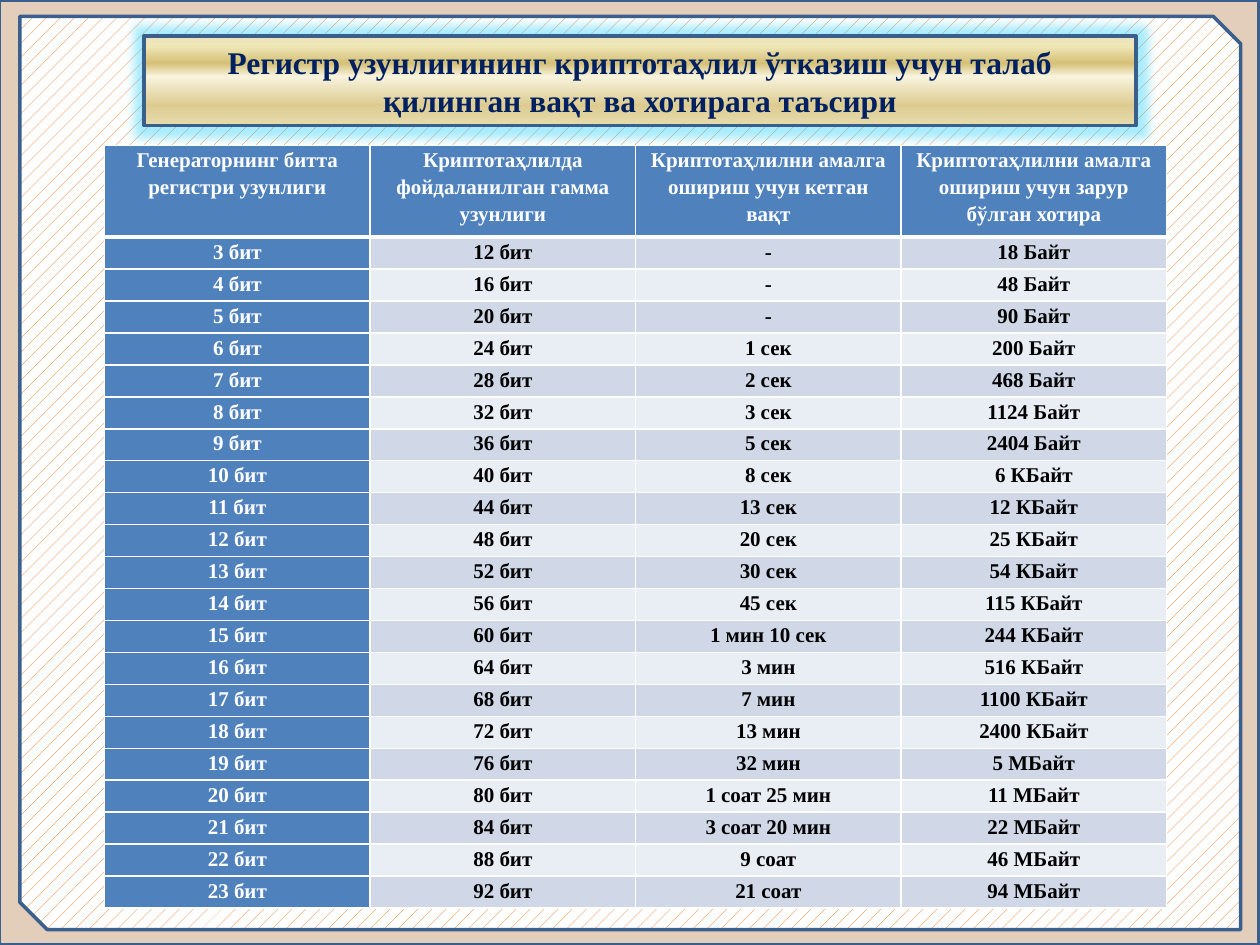
"""Build a slide with a table of register length against cryptanalysis time and memory."""
from dataclasses import dataclass

from lxml.etree import SubElement
from pptx import Presentation
from pptx.dml.color import RGBColor
from pptx.enum.dml import MSO_PATTERN as Pattern
from pptx.enum.shapes import MSO_SHAPE as Shape
from pptx.enum.text import MSO_ANCHOR as Anchor, PP_ALIGN as Align
from pptx.oxml.ns import qn
from pptx.util import Cm, Pt


@dataclass(frozen=True)
class Theme:
    font: str = "Times New Roman"
    title_size: int = 18
    table_size: int = 12
    outline: str = "3A5F8C"
    backdrop: str = "984807"
    hatch: str = "E46C0A"
    navy: str = "002060"
    glow: str = "25D0FF"
    head: str = "4F81BD"
    bands: tuple = ("D0D8E8", "E9EDF4")
    white: str = "FFFFFF"
    black: str = "000000"
    gold: tuple = ((0, "EBE3BD"), (12, "EFE6B6"), (30, "D4BF75"),
                   (45, "F8F3DD"), (77, "DDCC92"), (100, "E6DCAC"))


TITLE = "Регистр узунлигининг криптотаҳлил ўтказиш учун талаб қилинган вақт ва хотирага таъсири"
HEADINGS = (
    "Генераторнинг битта регистри узунлиги",
    "Криптотаҳлилда фойдаланилган гамма узунлиги",
    "Криптотаҳлилни амалга ошириш учун кетган вақт",
    "Криптотаҳлилни амалга ошириш учун зарур бўлган хотира",
)
TIMES = (
    "-", "-", "-", "1 сек", "2 сек", "3 сек", "5 сек", "8 сек", "13 сек", "20 сек",
    "30 сек", "45 сек", "1 мин 10 сек", "3 мин", "7 мин", "13 мин", "32 мин",
    "1 соат 25 мин", "3 соат 20 мин", "9 соат", "21 соат",
)
MEMORY = (
    "18 Байт", "48 Байт", "90 Байт", "200 Байт", "468 Байт", "1124 Байт", "2404 Байт",
    "6 КБайт", "12 КБайт", "25 КБайт", "54 КБайт", "115 КБайт", "244 КБайт",
    "516 КБайт", "1100 КБайт", "2400 КБайт", "5 МБайт", "11 МБайт", "22 МБайт",
    "46 МБайт", "94 МБайт",
)


def write(frame, text, *, font, size, color, spacing=1.0, after=0):
    """Put one bold centred paragraph into a text frame."""
    frame.word_wrap = True
    para = frame.paragraphs[0]
    para.alignment = Align.CENTER
    para.line_spacing = spacing
    para.space_after = Pt(after)
    span = para.add_run()
    span.text = text
    span.font.name, span.font.size, span.font.bold = font, Pt(size), True
    span.font.color.rgb = RGBColor.from_string(color)


def add_color(parent, color, alpha=None):
    """Add a colour element with an optional opacity in percent."""
    node = SubElement(parent, qn("a:srgbClr"), val=color)
    if alpha is not None:
        SubElement(node, qn("a:alpha"), val=str(alpha * 1000))


class Page:
    """Hold the theme and the current slide."""

    def __init__(self, slide, theme):
        """Keep the slide and its theme."""
        self.slide, self.theme = slide, theme

    def panel(self, kind, left, top, width, height, adjustments=()):
        """Add an outlined shape without a shadow."""
        box = self.slide.shapes.add_shape(kind, Cm(left), Cm(top), Cm(width), Cm(height))
        for index, value in enumerate(adjustments):
            box.adjustments[index] = value
        box.line.color.rgb = RGBColor.from_string(self.theme.outline)
        box.line.width = Pt(2)
        box.shadow.inherit = False
        return box

    def backdrop(self, *area):
        """Add the pale background panel."""
        box = self.panel(Shape.RECTANGLE, *area)
        box.fill.solid()
        box.fill.fore_color.rgb = RGBColor.from_string(self.theme.backdrop)
        color = box.element.spPr.find(qn("a:solidFill")).find(qn("a:srgbClr"))
        SubElement(color, qn("a:alpha"), val="27000")

    def hatched_frame(self, *area):
        """Add the hatched panel with two cut corners."""
        box = self.panel(Shape.SNIP_2_DIAG_RECTANGLE, *area, adjustments=(0, 0.03))
        box.fill.patterned()
        box.fill.pattern = Pattern.PERCENT_10
        box.fill.fore_color.rgb = RGBColor.from_string(self.theme.hatch)
        box.fill.back_color.rgb = RGBColor.from_string(self.theme.white)

    def title(self, text, *area):
        """Add the glowing gold title."""
        theme = self.theme
        box = self.panel(Shape.ROUNDED_RECTANGLE, *area, adjustments=(0,))
        box.fill.gradient()
        box.fill.gradient_angle = 270
        properties = box.element.spPr
        stops = properties.find(qn("a:gradFill")).find(qn("a:gsLst"))
        for stop in list(stops):
            stops.remove(stop)
        for position, color in theme.gold:
            add_color(SubElement(stops, qn("a:gs"), pos=str(position * 1000)), color)
        effects = properties.find(qn("a:effectLst"))
        add_color(SubElement(effects, qn("a:glow"), rad=str(Pt(11))), theme.glow, 40)
        box.text_frame.vertical_anchor = Anchor.MIDDLE
        write(box.text_frame, text, font=theme.font, size=theme.title_size, color=theme.navy)

    def cell(self, cell, text, fill, color, top=1, bottom=1):
        """Fill one table cell and draw its borders."""
        theme = self.theme
        cell.margin_left = cell.margin_right = Cm(0.18)
        cell.margin_top = cell.margin_bottom = 0
        properties = cell._tc.get_or_add_tcPr()
        for side, width in (("L", 1), ("R", 1), ("T", top), ("B", bottom)):
            border = SubElement(properties, qn(f"a:ln{side}"), w=str(Pt(width)))
            add_color(SubElement(border, qn("a:solidFill")), theme.white)
        cell.fill.solid()
        cell.fill.fore_color.rgb = RGBColor.from_string(fill)
        write(cell.text_frame, text, font=theme.font, size=theme.table_size,
              color=color, spacing=1.15, after=3)

    def table(self, rows, left, top, width, height, head_height):
        """Add a banded table with a header row and a header column."""
        theme = self.theme
        grid = self.slide.shapes.add_table(
            len(rows), len(rows[0]), Cm(left), Cm(top), Cm(width), Cm(height)).table
        grid.first_col = True
        body_height = (height - head_height) / (len(rows) - 1)
        for row, texts in enumerate(rows):
            grid.rows[row].height = Cm(body_height if row else head_height)
            for column, text in enumerate(texts):
                is_head = row == 0 or column == 0
                self.cell(grid.cell(row, column), text,
                          fill=theme.head if is_head else theme.bands[(row - 1) % 2],
                          color=theme.white if is_head else theme.black,
                          top=3 if row == 1 else 1, bottom=1 if row else 3)


def main():
    """Build and save the deck."""
    deck = Presentation()
    deck.slide_width, deck.slide_height = Cm(25.4), Cm(19.05)
    page = Page(deck.slides.add_slide(deck.slide_layouts[6]), Theme())
    page.backdrop(-0.02, 0, 25.4, 19.05)
    page.hatched_frame(0.4, 0.33, 24.61, 18.41)
    page.title(TITLE, 2.9, 0.73, 20, 1.8)
    lengths = ((f"{bits} бит", f"{4 * bits} бит") for bits in range(3, 24))
    body = [(*pair, time, memory) for pair, time, memory in zip(lengths, TIMES, MEMORY)]
    page.table([HEADINGS, *body], 2.11, 2.93, 21.41, 15.39, head_height=1.85)
    deck.save("out.pptx")


if __name__ == "__main__":
    main()
